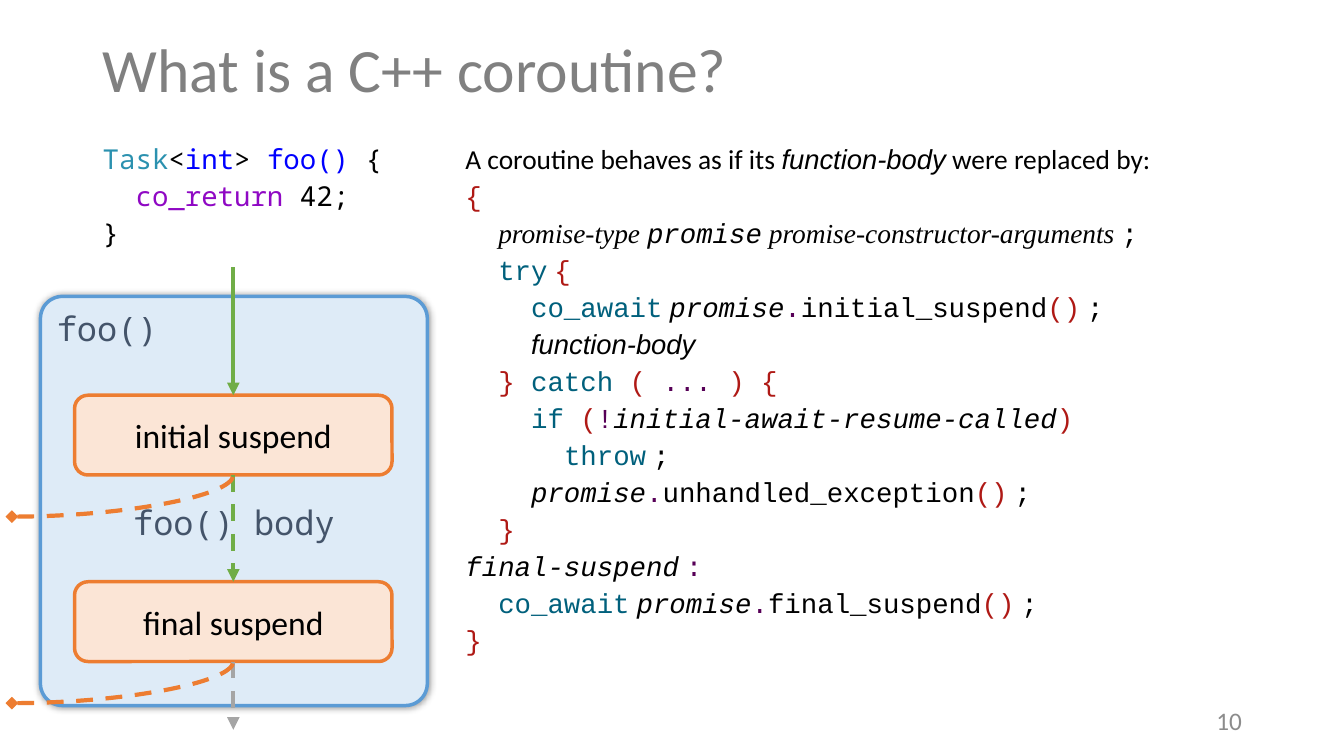
from lxml.etree import SubElement
from pptx import Presentation
from pptx.dml.color import RGBColor
from pptx.enum.dml import MSO_LINE
from pptx.enum.shapes import MSO_CONNECTOR as Link, MSO_SHAPE as Shape
from pptx.enum.text import MSO_ANCHOR as Anchor, PP_ALIGN as Align
from pptx.oxml.ns import qn
from pptx.util import Cm, Pt

COLORS = {
    "black": "000000", "title": "808080", "number": "8C8C8C", "slate": "44546A",
    "panel": "DEEBF7", "panel_line": "5B9BD5", "step": "FBE5D6", "orange": "ED7D31",
    "green": "70AD47", "grey": "A5A5A5", "type": "2B91AF", "blue": "0000FF",
    "purple": "8F08C4", "teal": "00607C", "red": "AF1915", "plum": "570057",
}
SANS, MONO, COURIER, TIMES = "Calibri", "Noto Sans Mono", "Courier New", "Times New Roman"
STYLES = {
    "prose": (SANS, "black", False), "term": ("Arial", "black", True),
    "grammar": (TIMES, "black", True), "gap": (TIMES, "black", False),
    "code": (COURIER, "black", False), "name": (COURIER, "black", True),
    "key": (COURIER, "teal", False), "mark": (COURIER, "red", False),
    "op": (COURIER, "plum", False), "plain": (MONO, "black", False),
    "type": (MONO, "type", False), "blue": (MONO, "blue", False),
    "return": (MONO, "purple", False),
}
GAP = ("gap", " ")
CALL_END = [("mark", "()"), GAP, ("code", ";")]
AWAIT = [("key", "co_await"), GAP, ("name", "promise"), ("op", ".")]

TITLE = "What is a C++ coroutine?"
SOURCE_CODE = [
    [("type", "Task"), ("plain", "<"), ("blue", "int"), ("plain", "> "),
     ("blue", "foo() "), ("plain", "{")],
    [("plain", "  "), ("return", "co_return"), ("plain", " 42;")],
    [("plain", "}")],
]
EXPANSION = [
    [("prose", "A coroutine behaves as if its "), ("term", "function-body"),
     ("prose", " were replaced by:")],
    [("mark", "{")],
    [("code", "  "), ("grammar", "promise-type "), ("name", "promise"),
     ("grammar", " promise-constructor-arguments "), ("code", ";")],
    [("code", "  "), ("key", "try"), GAP, ("mark", "{")],
    [("code", "    "), *AWAIT, ("code", "initial_suspend"), *CALL_END],
    [("code", "    "), ("term", "function-body")],
    [("code", "  "), ("mark", "} "), ("key", "catch "), ("mark", "( "),
     ("op", "... "), ("mark", ") {")],
    [("code", "    "), ("key", "if "), ("mark", "("), ("op", "!"),
     ("name", "initial-await-resume-called"), ("mark", ")")],
    [("code", "      "), ("key", "throw"), GAP, ("code", ";")],
    [("code", "    "), ("name", "promise"), ("op", "."),
     ("code", "unhandled_exception"), *CALL_END],
    [("code", "  "), ("mark", "}")],
    [("name", "final-suspend"), GAP, ("op", ":")],
    [("code", "  "), *AWAIT, ("code", "final_suspend"), *CALL_END],
    [("mark", "}")],
]
STEPS = [("initial suspend", 9.96), ("final suspend", 14.66)]
STEP_LEFT, STEP_WIDTH, STEP_HEIGHT = 1.88, 8, 2.01
AXIS = STEP_LEFT + STEP_WIDTH / 2
FLOW_TOP, FLOW_BOTTOM = 6.73, 18.39
EXIT_X, EXIT_DROP = 0.3, 1.05


def rgb(name):
    return RGBColor.from_string(COLORS[name])


def set_font(span, family, size, color, italic=False):
    font = span.font
    font.name, font.size, font.italic = family, Pt(size), italic
    font.color.rgb = rgb(color)


def add_label(left, top, width, height, text, size, color, align):
    box = page.shapes.add_textbox(Cm(left), Cm(top), Cm(width), Cm(height))
    frame = box.text_frame
    frame.word_wrap = True
    frame.vertical_anchor = Anchor.MIDDLE
    frame.text = text
    para = frame.paragraphs[0]
    para.alignment = align
    set_font(para.runs[0], SANS, size, color)
    return para


def add_code(left, width, lines, align):
    box = page.shapes.add_textbox(Cm(left), Cm(3.68), Cm(width), Cm(13.97))
    frame = box.text_frame
    frame.word_wrap = True
    for index, line in enumerate(lines):
        para = frame.add_paragraph() if index else frame.paragraphs[0]
        para.alignment = align
        para.line_spacing = 0.7
        para.space_before = Pt(10 if index else 0)
        for style, text in line:
            span = para.add_run()
            span.text = text
            family, color, italic = STYLES[style]
            set_font(span, family, 19.6, color, italic)


def add_card(left, top, width, height, fill, line):
    card = page.shapes.add_shape(
        Shape.ROUNDED_RECTANGLE, Cm(left), Cm(top), Cm(width), Cm(height))
    card.shadow.inherit = False
    card.fill.solid()
    card.fill.fore_color.rgb = rgb(fill)
    card.line.color.rgb = rgb(line)
    card.line.width = Pt(2.5)
    return card


def add_link(kind, start, end, color, dashed, marker, symbol):
    link = page.shapes.add_connector(kind, *map(Cm, start + end))
    link.line.color.rgb = rgb(color)
    link.line.width = Pt(3)
    if dashed:
        link.line.dash_style = MSO_LINE.DASH
    SubElement(link.line._get_or_add_ln(), qn(marker), type=symbol)
    SubElement(link._element.spPr, qn("a:effectLst"))
    return link


def add_flow(top, bottom, color, dashed, source=None, target=None):
    arrow = add_link(Link.STRAIGHT, (AXIS, top), (AXIS, bottom), color,
                     dashed, "a:tailEnd", "triangle")
    if source:
        arrow.begin_connect(source, 2)
    if target:
        arrow.end_connect(target, 0)


deck = Presentation()
deck.slide_width, deck.slide_height = Cm(33.87), Cm(19.05)
page = deck.slides.add_slide(deck.slide_layouts[6])

panel = add_card(1.02, 7.47, 9.75, 10.31, "panel", "panel_line")
panel.adjustments[0] = 0.057
effects = panel._element.spPr.find(qn("a:effectLst"))
shadow = SubElement(effects, qn("a:outerShdw"), blurRad=str(Pt(5)), dist="0")
shade = SubElement(shadow, qn("a:srgbClr"), val=COLORS["black"])
SubElement(shade, qn("a:alpha"), val="40000")
panel.text_frame.vertical_anchor = Anchor.TOP
panel.text_frame.text = "foo()\nfoo() body"
heading, body = panel.text_frame.paragraphs
heading.alignment, body.alignment = Align.LEFT, Align.CENTER
body.space_before = Pt(110)
for para in (heading, body):
    set_font(para.runs[0], MONO, 24, "slate")

add_label(2.34, 0, 29.21, 3.68, TITLE, 44, "title", Align.LEFT).line_spacing = 0.9
add_code(2.34, 8.76, SOURCE_CODE, Align.LEFT)
add_code(11.48, 20.07, EXPANSION, Align.JUSTIFY)

cards = []
for text, top in STEPS:
    card = add_card(STEP_LEFT, top, STEP_WIDTH, STEP_HEIGHT, "step", "orange")
    card.text_frame.text = text
    card.text_frame.vertical_anchor = Anchor.MIDDLE
    card.text_frame.paragraphs[0].alignment = Align.CENTER
    set_font(card.text_frame.paragraphs[0].runs[0], SANS, 24, "black")
    cards.append(card)

initial, final = cards
initial_top, final_top = (top for _, top in STEPS)
add_flow(FLOW_TOP, initial_top, "green", False, target=initial)
add_flow(initial_top + STEP_HEIGHT, final_top, "green", True, initial, final)
add_flow(final_top + STEP_HEIGHT, FLOW_BOTTOM, "grey", True, source=final)
for _, top in STEPS:
    bottom = top + STEP_HEIGHT
    curve = add_link(Link.CURVE, (EXIT_X, bottom + EXIT_DROP), (AXIS, bottom),
                     "orange", True, "a:headEnd", "diamond")
    curve._element.spPr.find(qn("a:prstGeom")).set("prst", "curvedConnector2")

add_label(23.93, 17.65, 7.62, 1.02, "10", 18, "number", Align.RIGHT)
deck.save("out.pptx")
